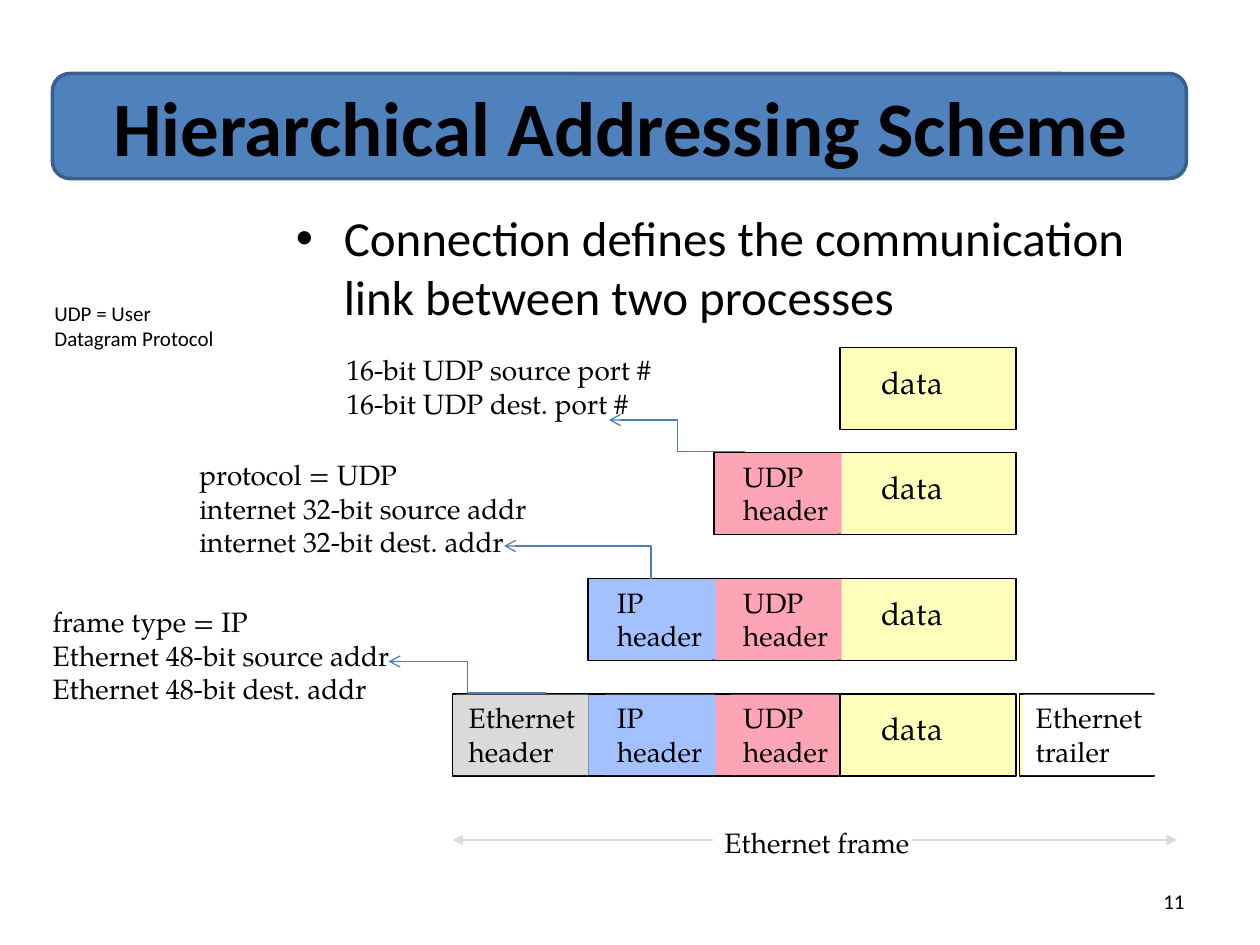
from lxml import etree
from pptx import Presentation
from pptx.dml.color import RGBColor
from pptx.enum.shapes import MSO_CONNECTOR, MSO_SHAPE
from pptx.enum.text import MSO_ANCHOR, MSO_AUTO_SIZE, PP_ALIGN
from pptx.oxml.ns import qn
from pptx.util import Inches, Pt

RECT, ROUND = MSO_SHAPE.RECTANGLE, MSO_SHAPE.ROUNDED_RECTANGLE
LINE, ELBOW = MSO_CONNECTOR.STRAIGHT, MSO_CONNECTOR.ELBOW
LEFT, MID, RIGHT = PP_ALIGN.LEFT, PP_ALIGN.CENTER, PP_ALIGN.RIGHT
TOP, CENTER = MSO_ANCHOR.TOP, MSO_ANCHOR.MIDDLE
GROW, FIXED = MSO_AUTO_SIZE.SHAPE_TO_FIT_TEXT, MSO_AUTO_SIZE.NONE

COLS, ROWS = 120, 90
SANS, SERIF = "Calibri", "TeX Gyre Pagella"
BLUE, GREY, YELLOW = "4B7EBC", "DADADA", "FCFEB9"


def tint(code):
    return RGBColor.from_string(code)


def apply(target, values):
    for name, value in values.items():
        setattr(target, name, value)


class Deck:
    def __init__(self):
        self.show = Presentation()
        apply(self.show, {"slide_width": Inches(10), "slide_height": Inches(7.5)})
        self.slide = self.show.slides.add_slide(self.show.slide_layouts[6])
        self.ink = "000000"

    def place(self, *spots):
        sizes = (self.show.slide_width / COLS, self.show.slide_height / ROWS)
        return [round(spot * sizes[i % 2]) for i, spot in enumerate(spots)]

    def box(self, spot, fill, line=None, width=1, kind=RECT):
        shape = self.slide.shapes.add_shape(kind, *self.place(*spot))
        shape.shadow.inherit = False
        shape.fill.solid()
        shape.fill.fore_color.rgb = tint(fill)
        if line:
            shape.line.color.rgb = tint(line)
            shape.line.width = Pt(width)
        else:
            shape.line.fill.background()
        return shape

    def label(self, shape, words, size, font=SERIF, bold=False, align=LEFT,
              anchor=TOP, wrap=False, grow=True, before=0):
        frame = shape.text_frame
        frame.text = words
        apply(frame, {"word_wrap": wrap, "vertical_anchor": anchor,
                      "auto_size": GROW if grow else FIXED})
        for para in frame.paragraphs:
            apply(para, {"alignment": align, "space_before": Pt(before)})
            for run in para.runs:
                apply(run.font, {"name": font, "size": Pt(size), "bold": bold})
                run.font.color.rgb = tint(self.ink)
        return shape

    def text(self, spot, words, size, **style):
        shape = self.slide.shapes.add_textbox(*self.place(*spot))
        return self.label(shape, words, size, **style)

    def bullet(self, shape):
        for para in shape.text_frame.paragraphs:
            props = para._p.get_or_add_pPr()
            props.set("marL", str(Inches(0.38)))
            props.set("indent", str(-Inches(0.38)))
            etree.SubElement(props, qn("a:buFont")).set("typeface", "Arial")
            etree.SubElement(props, qn("a:buChar")).set("char", "•")

    def link(self, start, end, color, width, mark, tip, kind=LINE, bend=None):
        join = self.slide.shapes.add_connector(kind, *self.place(*start, *end))
        join.line.color.rgb = tint(color)
        join.line.width = Pt(width)
        props = join.element.spPr
        if bend:
            props.find(qn("a:prstGeom")).set("prst", bend)
        etree.SubElement(props.find(qn("a:ln")), qn("a:" + mark)).set("type", tip)
        etree.SubElement(props, qn("a:effectLst"))

    def cell(self, name, row):
        left, width, fill, words, inset, cover, back = CELLS[name]
        self.box((left, row, width, 7.8), fill, self.ink)
        if name == "data":
            self.text((left + inset, row + 0.84, cover, 4.8), words, 18)
        else:
            patch = self.box((left + inset, row + 0.05, cover, 7.68), back)
            self.label(patch, words, 16)


CELLS = {
    "data": (80, 16.8, YELLOW, "data", 2.8, 8.28, None),
    "udp": (68, 11.9, "FDA4B5", "UDP\nheader", 1.6, 10.56, "FDA4B5"),
    "ip": (56, 11.9, "A2C1FE", "IP\nheader", 1.6, 10.56, "A2C1FE"),
    "head": (43.1, 12.84, GREY, "Ethernet\nheader", 0.36, 12.6, GREY),
    "tail": (97.1, 12.84, YELLOW, "Ethernet\ntrailer", 0.36, 12.6, "FFFFFF"),
}
STACK = (
    (33.1, ("data",)),
    (43.1, ("data", "udp")),
    (55.1, ("data", "udp", "ip")),
    (66.1, ("udp", "data", "ip", "tail", "head")),
)
NOTES = (
    ((31.8, 33, 32.16, 7.68), "16-bit UDP source port #\n16-bit UDP dest. port #"),
    ((17.8, 43, 33.96, 10.92),
     "protocol = UDP\ninternet 32-bit source addr\ninternet 32-bit dest. addr"),
    ((3.84, 57, 34.8, 10.92),
     "frame type = IP\nEthernet 48-bit source addr\nEthernet 48-bit dest. addr"),
    ((67.8, 78, 20.28, 4.44), "Ethernet frame"),
)


def main():
    deck = Deck()
    deck.box((5, 7, 108, 10), "4F81BD", "3A5F8C", 2, ROUND)
    deck.text((86, 83.4, 28, 4.8), "11", 12, font=SANS, align=RIGHT,
              anchor=CENTER, wrap=True, grow=False)
    deck.text((4, 6.5, 110.28, 11), "Hierarchical Addressing Scheme", 44,
              font=SANS, bold=True, align=MID, anchor=CENTER, wrap=True, grow=False)
    point = deck.text((27, 19.2, 88, 16),
                      "Connection defines the communication link between two processes",
                      28, font=SANS, wrap=True, grow=False, before=5.6)
    deck.bullet(point)
    for row, names in STACK:
        for name in names:
            deck.cell(name, row)
    for spot, words in NOTES:
        deck.text(spot, words, 16)
    for start, end in ((43.1, 67.9), (112.1, 86.9)):
        deck.link((start, 80), (end, 80), GREY, 1, "headEnd", "triangle")
    deck.text((4, 28, 19, 6), "UDP = User Datagram Protocol", 12,
              font=SANS, wrap=True, before=6)
    for start, end in (((71, 43), (58, 40)), ((52, 66), (37, 63))):
        deck.link(start, end, BLUE, 0.75, "tailEnd", "arrow", ELBOW)
    deck.link((48, 52), (62, 55.1), BLUE, 0.75, "headEnd", "arrow", ELBOW,
              "bentConnector2")
    deck.show.save("out.pptx")


if __name__ == "__main__":
    main()
